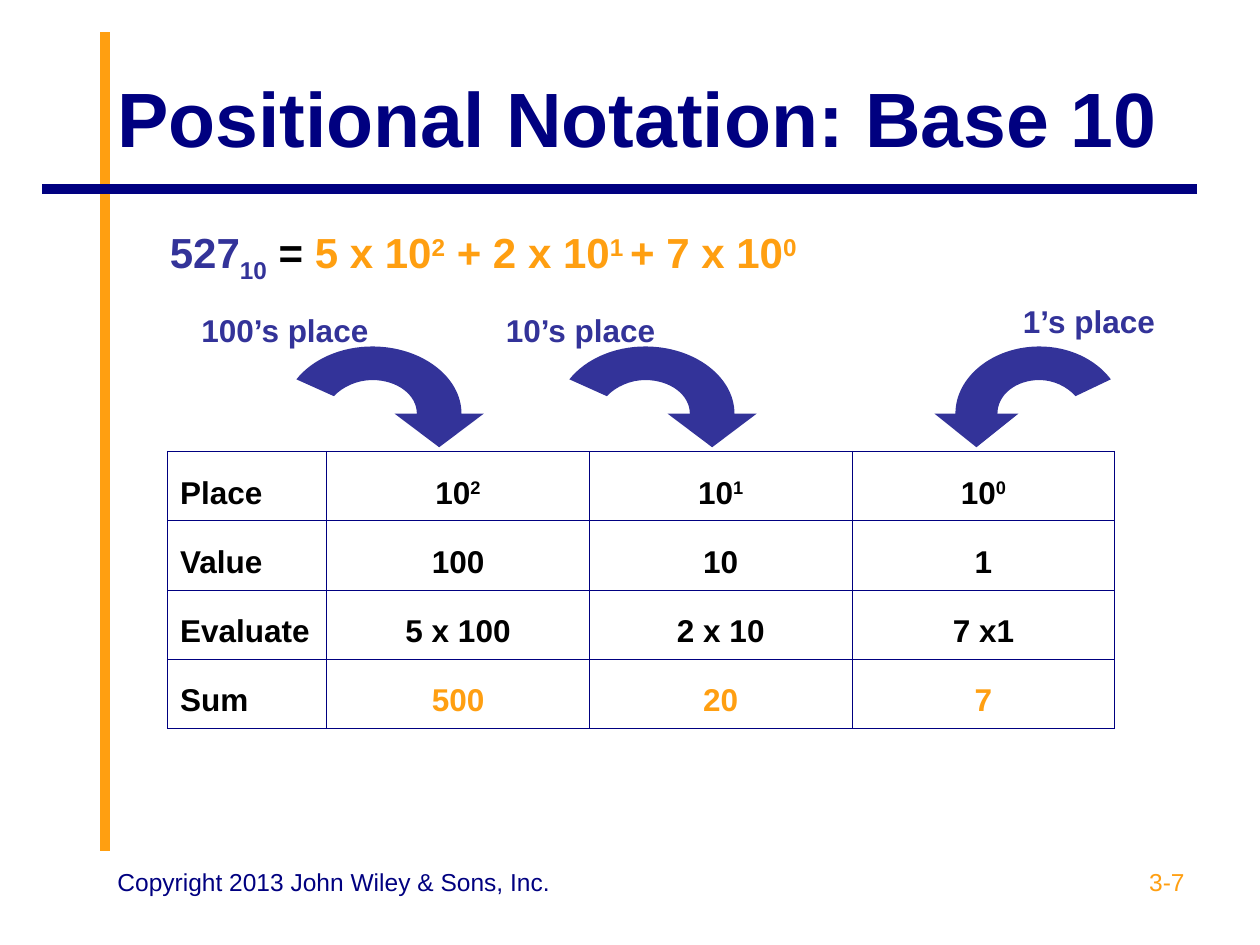
from lxml import etree
from pptx import Presentation
from pptx.dml.color import RGBColor
from pptx.enum import shapes, text
from pptx.oxml.ns import qn
from pptx.util import Pt

NAVY = RGBColor(0x00, 0x00, 0x80)
INDIGO = RGBColor(0x33, 0x33, 0x99)
ORANGE = RGBColor(0xFF, 0x9F, 0x11)
BLACK = RGBColor(0, 0, 0)
LEFT, MID, RIGHT = text.PP_ALIGN.LEFT, text.PP_ALIGN.CENTER, text.PP_ALIGN.RIGHT

# Content: a run is (words, colour, baseline shift in percent)
TITLE = "Positional Notation: Base 10"
SUM = [
    ("527", INDIGO, 0), ("10", INDIGO, -25), (" =", BLACK, 0),
    (" 5 x 10", ORANGE, 0), ("2", ORANGE, 30),
    (" + 2 x 10", ORANGE, 0), ("1 ", ORANGE, 30),
    ("+ 7 x 10", ORANGE, 0), ("0", ORANGE, 30),
]
ROWS = [
    ("Place", "10^2", "10^1", "10^0"),
    ("Value", "100", "10", "1"),
    ("Evaluate", "5 x 100", "2 x 10", "7 x1"),
    ("Sum", "500", "20", "7"),
]
# Label, its left, top and width, then arrow centre and radius (negative: mirrored)
PLACES = [
    ("1’s place", 577.5, 169, 102, 594, -48),
    ("10’s place", 282, 174, 102, 368.75, 51),
    ("100’s place", 108, 174, 120, 212.75, 51),
]
# Words, left, width, alignment, colour
FOOT = [
    ("3-7", 516, 168, RIGHT, ORANGE),
    ("Copyright 2013 John Wiley & Sons, Inc.", 60, 264, LEFT, NAVY),
]
# Arrow outline in radii from its centre; three points make a curve, one a line
START = (0.5, 0)
STEPS = [
    [(0.5, -0.28), (0.28, -0.5), (0, -0.5)],
    [(-0.17, -0.5), (-0.33, -0.4), (-0.43, -0.26)],
    [(-0.85, -0.51)],
    [(-0.67, -0.81), (-0.35, -1), (0, -1)],
    [(0.55, -1), (1, -0.55), (1, 0)],
    [(1.25, 0)], [(0.75, 0.5)], [(0.25, 0)],
]

deck = Presentation()
deck.slide_width, deck.slide_height = Pt(720), Pt(540)
slide = deck.slides.add_slide(deck.slide_layouts[5])


def style(para, size, color=None, bold=True, align=LEFT):
    para.alignment = align
    font = para.font
    font.name, font.size, font.bold = "Arial", Pt(size), bold
    if color is not None:
        font.color.rgb = color


def add_runs(para, runs):
    for words, color, shift in runs:
        run = para.add_run()
        run.text = words
        run.font.color.rgb = color
        if shift:
            run.font._element.set("baseline", str(shift * 1000))


def add_text(words, left, top, width, height):
    frame = slide.shapes.add_textbox(Pt(left), Pt(top), Pt(width), Pt(height)).text_frame
    frame.word_wrap = True
    para = frame.paragraphs[0]
    para.text = words
    return para


def add_rule(x1, y1, x2, y2, color):
    rule = slide.shapes.add_connector(
        shapes.MSO_CONNECTOR.STRAIGHT, Pt(x1), Pt(y1), Pt(x2), Pt(y2))
    rule.line.color.rgb, rule.line.width = color, Pt(5.5)
    etree.SubElement(rule._element.spPr, qn("a:effectLst"))


def add_arrow(mid, rad, base=236.4, high=38.4):
    def place(spot):
        return Pt(mid + spot[0] * rad), Pt(base + spot[1] * high)

    pen = slide.shapes.build_freeform(*place(START))
    pen.add_line_segments([place(spot) for step in STEPS for spot in step], close=True)
    arrow = pen.convert_to_shape()
    arrow.shadow.inherit = False
    arrow.fill.solid()
    arrow.fill.fore_color.rgb = INDIGO
    arrow.line.fill.background()

    # Join each run of three points into one curve
    lines = iter(list(arrow._element.iter(qn("a:lnTo"))))
    for step in STEPS:
        group = [next(lines) for _ in step]
        if len(group) == 3:
            curve = etree.Element(qn("a:cubicBezTo"))
            group[0].addprevious(curve)
            for line in group:
                curve.append(line[0])
                line.getparent().remove(line)


def add_edges(cell):
    props = cell._tc.get_or_add_tcPr()
    for spot, side in enumerate(("lnL", "lnR", "lnT", "lnB")):
        edge = etree.Element(qn("a:" + side), w=str(Pt(0.75)))
        fill = etree.SubElement(edge, qn("a:solidFill"))
        etree.SubElement(fill, qn("a:srgbClr"), val=str(NAVY))
        props.insert(spot, edge)


# Rules and title
add_rule(60, 486, 60, 18, ORANGE)
add_rule(684, 108, 24, 108, NAVY)
title = slide.shapes.title
title.left, title.top, title.width, title.height = Pt(60), Pt(21.6), Pt(624), Pt(90)
title.text_frame.text = TITLE
title.text_frame.auto_size = text.MSO_AUTO_SIZE.NONE
title.text_frame.vertical_anchor = text.MSO_ANCHOR.MIDDLE
style(title.text_frame.paragraphs[0], 44, NAVY)

# Place-value table
widths = [91, 150, 150.25, 150]
table = slide.shapes.add_table(
    len(ROWS), len(widths), Pt(95.75), Pt(258), Pt(sum(widths)), Pt(39.6 * len(ROWS))).table
table.first_row = table.horz_banding = False
for col, width in zip(table.columns, widths):
    col.width = Pt(width)
for r, row in enumerate(ROWS):
    for c, words in enumerate(row):
        cell = table.cell(r, c)
        cell.fill.background()
        add_edges(cell)
        para = cell.text_frame.paragraphs[0]
        para.line_spacing = 1.5
        color = ORANGE if c and r == len(ROWS) - 1 else BLACK
        main, _, power = words.partition("^")
        add_runs(para, [(main, color, 0)] + ([(power, color, 30)] if power else []))
        style(para, 18, align=MID if c else LEFT)

# Arrows with their labels
for label, left, top, width, mid, rad in PLACES:
    add_arrow(mid, rad)
    style(add_text(label, left, top, width, 29), 18, INDIGO)

# Expanded sum
para = add_text("", 90, 126, 402, 40)
add_runs(para, SUM)
style(para, 24)

# Footer
for words, left, width, align, color in FOOT:
    style(add_text(words, left, 492, width, 37.5), 14, color, False, align)

deck.save("out.pptx")
